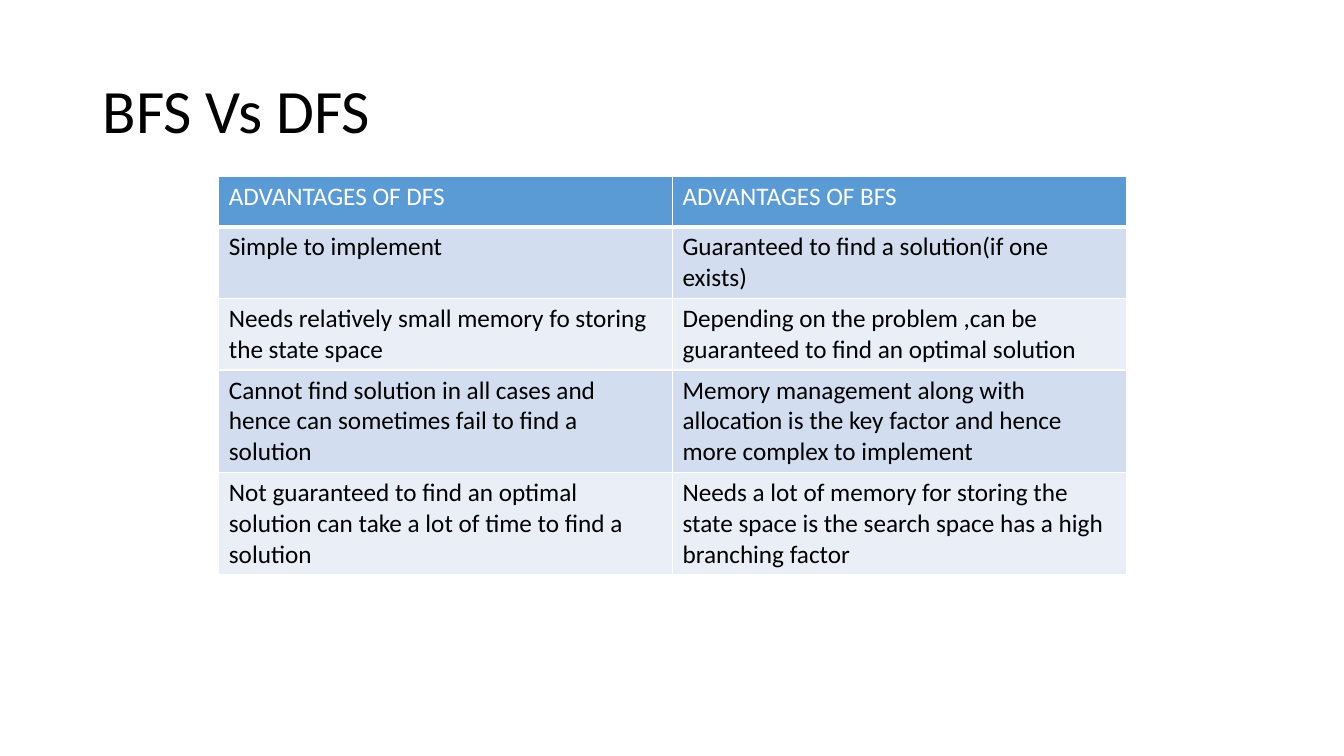
from dataclasses import dataclass

from lxml import etree
from pptx import Presentation
from pptx.dml.color import RGBColor
from pptx.enum.text import MSO_ANCHOR, PP_ALIGN
from pptx.oxml.ns import qn
from pptx.util import Inches, Pt

MIDDLE = MSO_ANCHOR.MIDDLE
LEFT = PP_ALIGN.LEFT


@dataclass(frozen=True)
class Theme:
    font: str = "Calibri"
    ink: str = "000000"
    white: str = "FFFFFF"
    head: str = "5B9BD5"
    bands: tuple = ("D2DEEF", "EAEFF7")
    title: int = 44
    body: int = 18
    rule: int = 1
    thick: int = 3


THEME = Theme()
ROWS = [
    ("ADVANTAGES OF DFS", "ADVANTAGES OF BFS"),
    ("Simple to implement", "Guaranteed to find a solution(if one exists)"),
    ("Needs relatively small memory fo storing the state space",
     "Depending on the problem ,can be guaranteed to find an optimal solution"),
    ("Cannot find solution in all cases and hence can sometimes fail to find a solution",
     "Memory management along with allocation is the key factor and hence more complex to implement"),
    ("Not guaranteed to find an optimal solution can take a lot of time to find a solution",
     "Needs a lot of memory for storing the state space is the search space has a high branching factor"),
]


def style(para, size, color):
    look = {"name": THEME.font, "size": Pt(size), "bold": False}
    for key, value in look.items():
        setattr(para.font, key, value)
    para.font.color.rgb = RGBColor.from_string(color)


def add_title(slide, box, text):
    title = slide.shapes.title
    for key, value in zip(("left", "top", "width", "height"), box):
        setattr(title, key, Inches(value))
    title.text = text
    title.text_frame.vertical_anchor = MIDDLE
    para = title.text_frame.paragraphs[0]
    para.alignment = LEFT
    para.line_spacing = 0.9
    style(para, THEME.title, THEME.ink)


def add_edges(cell, base):
    props = cell._tc.get_or_add_tcPr()
    widths = {"L": THEME.rule, "R": THEME.rule, "T": THEME.rule, "B": base}
    for side, width in widths.items():
        line = etree.SubElement(props, qn(f"a:ln{side}"), w=str(Pt(width)))
        fill = etree.SubElement(line, qn("a:solidFill"))
        etree.SubElement(fill, qn("a:srgbClr"), val=THEME.white)


def fill_cell(cell, text, row):
    top = row == 0
    # Edges come before the fill in the cell properties
    add_edges(cell, THEME.thick if top else THEME.rule)
    cell.fill.solid()
    shade = THEME.head if top else THEME.bands[(row - 1) % 2]
    cell.fill.fore_color.rgb = RGBColor.from_string(shade)
    cell.text = text
    style(cell.text_frame.paragraphs[0], THEME.body,
          THEME.white if top else THEME.ink)


def add_grid(slide, box, rows):
    frame = slide.shapes.add_table(len(rows), len(rows[0]), *map(Inches, box))
    table = frame.table
    for col in table.columns:
        col.width = Inches(box[2] / len(rows[0]))
    for i, texts in enumerate(rows):
        table.rows[i].height = Inches(0.41 if i else 0.5)
        for j, text in enumerate(texts):
            fill_cell(table.cell(i, j), text, i)


def main():
    deck = Presentation()
    deck.slide_width, deck.slide_height = Inches(13.33), Inches(7.5)
    slide = deck.slides.add_slide(deck.slide_layouts[5])
    # Heading
    add_title(slide, (0.92, 0.4, 11.5, 1.45), "BFS Vs DFS")
    # Comparison table
    add_grid(slide, (2.17, 1.75, 9, 2.14), ROWS)
    deck.save("out.pptx")


if __name__ == "__main__":
    main()
